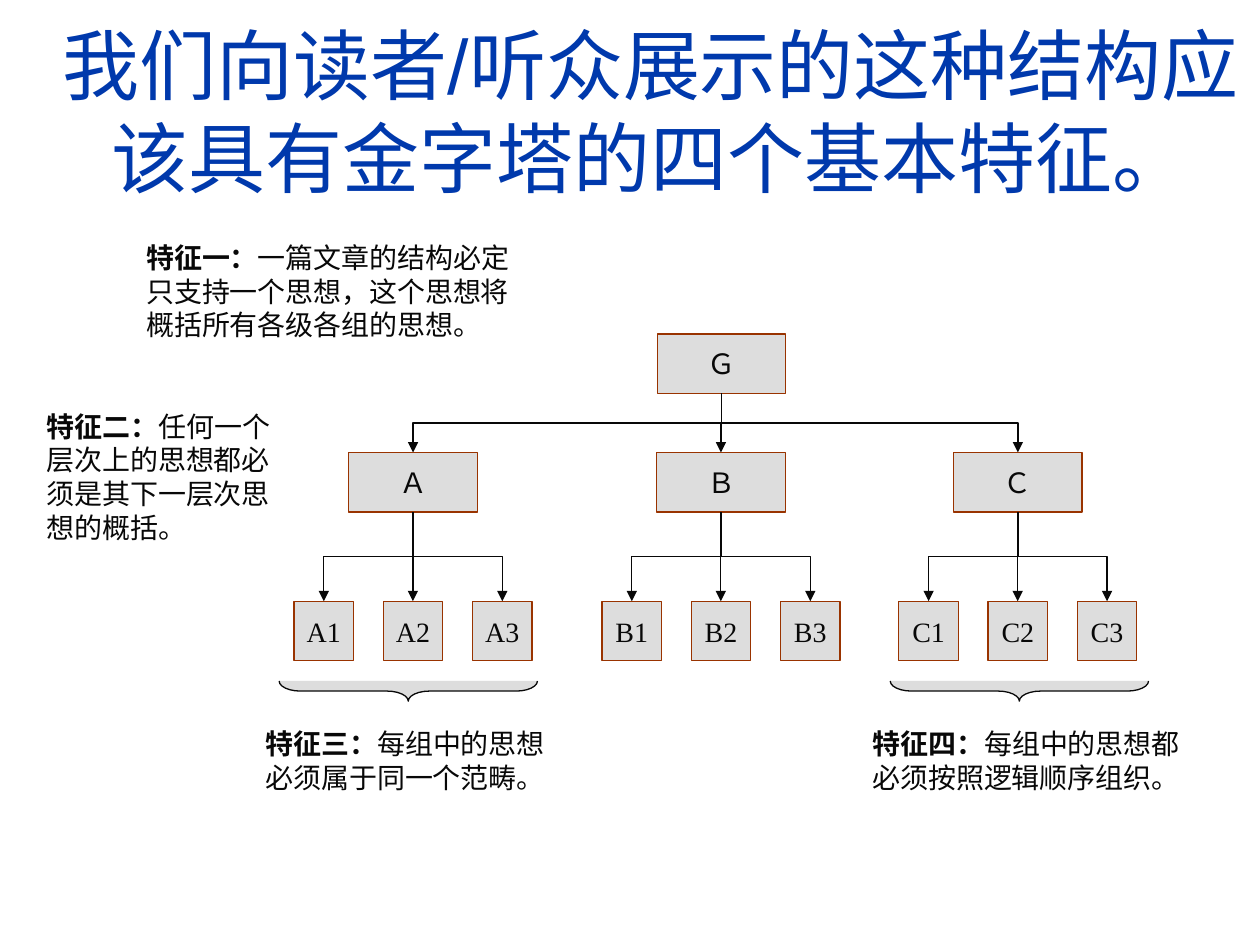
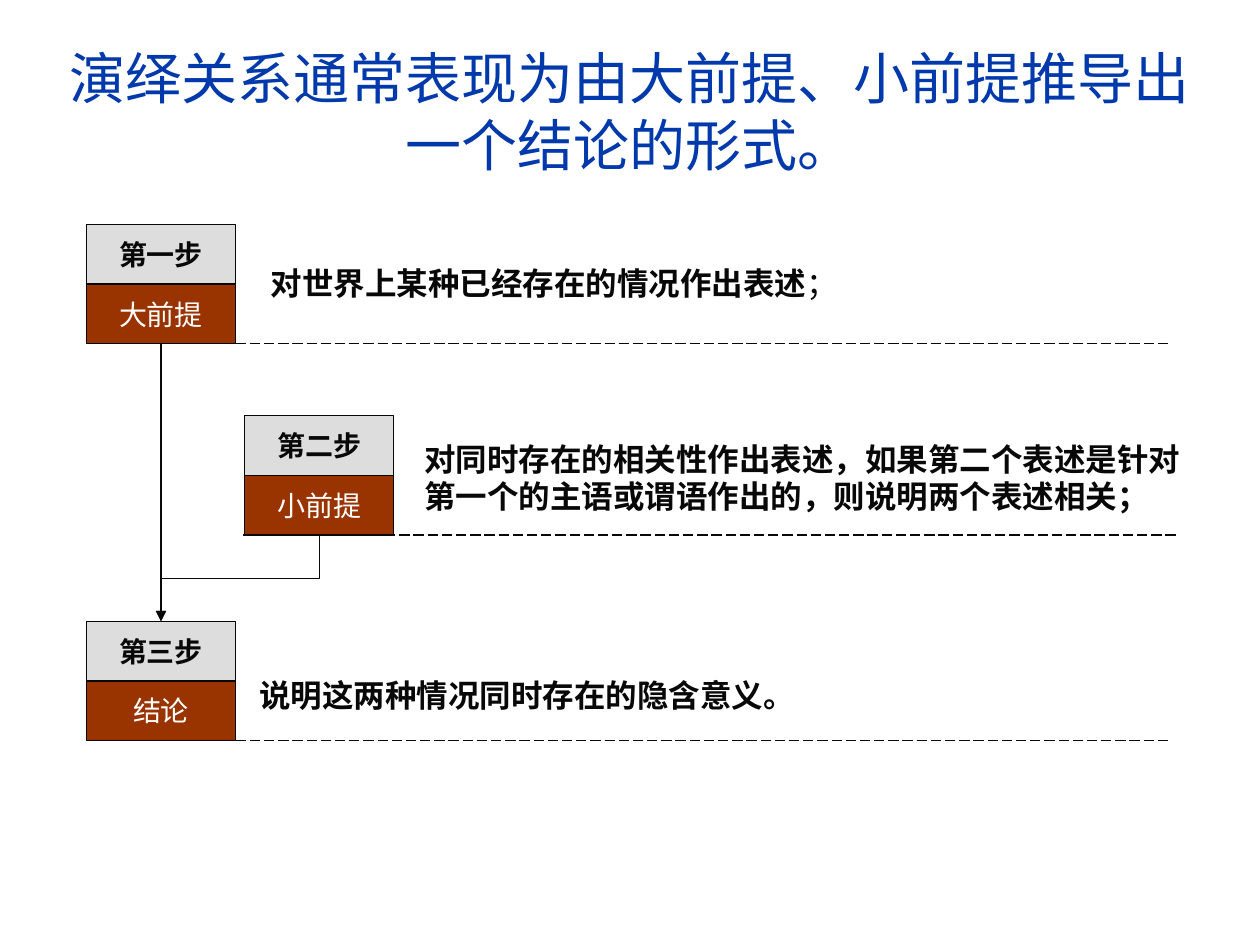
"""Build two slides on the pyramid structure and on deductive reasoning."""
from dataclasses import dataclass

from lxml import etree
from pptx import Presentation
from pptx import util as u
from pptx.dml.color import RGBColor
from pptx.enum import dml, lang, shapes, text
from pptx.oxml import ns


@dataclass(frozen=True)
class Theme:
    """Colours, fonts and type sizes shared by the slides."""
    ink: str = "080808"
    blue: str = "0039AC"
    grey: str = "DDDDDD"
    rust: str = "993300"
    white: str = "FFFFFF"
    title_font: str = "Arial"
    body_font: str = "Times New Roman"
    label_size: int = 16
    statement_size: int = 18
    line_width: float = 0.75


THEME = Theme()

NODE_WIDTH, NODE_HEIGHT, LEAF_PITCH = 73.4, 34, 51
ROOT_CENTER, ROOT_TOP, BRANCH_TOP, LEAF_TOP = 412.3, 190.8, 258.6, 343.6
BRANCHES = [("Ａ", "A", 236), ("Ｂ", "B", 412), ("Ｃ", "C", 581.6)]
BRACES = [233.3, 582.5]
FEATURES = [
    ("特征一：", "一篇文章的结构必定只支持一个思想，这个思想将概括所有各级各组的思想。",
     (76.5, 133.9, 225.4, 68.4)),
    ("特征二：", "任何一个层次上的思想都必须是其下一层次思想的概括。",
     (19.6, 230.4, 146.2, 90.7)),
    ("特征三：", "每组中的思想必须属于同一个范畴。", (144.7, 411.8, 175, 56.9)),
    ("特征四：", "每组中的思想都必须按照逻辑顺序组织。", (491.5, 411.8, 193, 62.6)),
]

STEP_WIDTH, STEP_HEIGHT, RULE_LENGTH = 85, 34.1, 533
STEPS = [
    ("第一步", "大前提", (49.5, 128.2), 134.7,
     [("对世界上某种已经存在的情况作出表述", True), ("；", False)],
     (147.6, 147.6, 345, 28.8)),
    ("第二步", "小前提", (139.9, 237.6), 139,
     [("对同时存在的相关性作出表述，如果第二个表述是针对第一个的主语或谓语作出的，"
       "则说明两个表述相关；", True)],
     (235.4, 247.7, 459.4, 56.9)),
    ("第三步", "结论", (49.5, 355), 134.7,
     [("说明这两种情况同时存在的隐含意义。", True)],
     (141.1, 383, 325, 28.8)),
]


def points(*lengths):
    """Convert numbers to point lengths."""
    return [u.Pt(length) for length in lengths]


def apply_format(target, values):
    """Set each attribute named in a dict of format values."""
    for name, value in values.items():
        setattr(target, name, value)


def write(frame, spans, size, color, font, frame_format, align):
    """Write one paragraph of (words, bold) spans."""
    apply_format(frame, frame_format)
    para = frame.paragraphs[0]
    para.alignment = align
    for words, bold in spans:
        span = para.add_run()
        span.text = words
        apply_format(span.font, {
            "name": font, "size": u.Pt(size), "bold": bold,
            "language_id": lang.MSO_LANGUAGE_ID.SIMPLIFIED_CHINESE})
        span.font.color.rgb = RGBColor.from_string(color)


def add_page(deck, title, size, width):
    """Add a slide with a centred blue title."""
    page = deck.slides.add_slide(deck.slide_layouts[5])
    box = page.shapes.title
    apply_format(box, dict(zip(("left", "top", "width", "height"),
                               points(24, 18, width, 90))))
    write(box.text_frame, [(title, False)], size, THEME.blue, THEME.title_font,
          {"word_wrap": True, "auto_size": text.MSO_AUTO_SIZE.NONE,
           "vertical_anchor": text.MSO_ANCHOR.MIDDLE}, text.PP_ALIGN.CENTER)
    return page


def style_line(line, color):
    """Give a line its colour and the common width."""
    line.color.rgb = RGBColor.from_string(color)
    line.width = u.Pt(THEME.line_width)


def add_filled(page, kind, place, fill, outline):
    """Add a filled and outlined preset shape."""
    shape = page.shapes.add_shape(kind, *points(*place))
    shape.shadow.inherit = False
    shape.fill.solid()
    shape.fill.fore_color.rgb = RGBColor.from_string(fill)
    style_line(shape.line, outline)
    return shape


def add_box(page, label, place, fill=THEME.grey, outline=THEME.rust,
            color=THEME.ink, bold=False):
    """Add a rectangle with a centred label."""
    box = add_filled(page, shapes.MSO_SHAPE.RECTANGLE, place, fill, outline)
    write(box.text_frame, [(label, bold)], THEME.label_size, color, THEME.body_font,
          {"word_wrap": False, "vertical_anchor": text.MSO_ANCHOR.MIDDLE},
          text.PP_ALIGN.CENTER)


def add_note(page, spans, place, size):
    """Add a wrapped, left-aligned text box."""
    box = page.shapes.add_textbox(*points(*place))
    write(box.text_frame, spans, size, THEME.ink, THEME.body_font,
          {"word_wrap": True}, text.PP_ALIGN.LEFT)


def add_line(page, start, end, kind=shapes.MSO_CONNECTOR.STRAIGHT, arrow=False):
    """Add a thin connector, with an arrowhead if asked."""
    line = page.shapes.add_connector(kind, *points(*start, *end))
    style_line(line.line, THEME.ink)
    properties = line._element.spPr
    if arrow:
        etree.SubElement(line.line._get_or_add_ln(), ns.qn("a:tailEnd"), type="triangle")
    etree.SubElement(properties, ns.qn("a:effectLst"))
    return line


def add_elbow(page, start, end):
    """Add an arrow that goes down, across and down again."""
    (x1, y1), (x2, y2) = start, end
    middle_x, middle_y = (x1 + x2) / 2, (y1 + y2) / 2
    half_drop, half_span = (y2 - y1) / 2, abs(x2 - x1) / 2
    line = add_line(page, (middle_x - half_drop, middle_y - half_span),
                    (middle_x + half_drop, middle_y + half_span),
                    shapes.MSO_CONNECTOR.ELBOW, arrow=True)
    turn = {"rot": "5400000"} if x2 < x1 else {"rot": "16200000", "flipH": "1"}
    frame = line._element.spPr.find(ns.qn("a:xfrm"))
    for name, value in turn.items():
        frame.set(name, value)


def add_node(page, label, center, top, width):
    """Add a tree node centred on a column."""
    add_box(page, label, (center - width / 2, top, width, NODE_HEIGHT))


def add_brace(page, center):
    """Add a brace that opens upward under a group of leaves."""
    width, length = 11.5, 147.6
    brace = add_filled(page, shapes.MSO_SHAPE.LEFT_BRACE,
                       (center - width / 2, 321.1, width, length),
                       THEME.grey, THEME.ink)
    brace.rotation = 270
    brace.adjustments[0] = 1.06


def add_tree(page):
    """Draw the root, its branches, their leaves and the arrows."""
    add_node(page, "Ｇ", ROOT_CENTER, ROOT_TOP, NODE_WIDTH)
    for label, prefix, center in BRANCHES:
        add_elbow(page, (ROOT_CENTER, ROOT_TOP + NODE_HEIGHT), (center, BRANCH_TOP))
        add_node(page, label, center, BRANCH_TOP, NODE_WIDTH)
        for number in (1, 2, 3):
            leaf_center = center + (number - 2) * LEAF_PITCH
            add_elbow(page, (center, BRANCH_TOP + NODE_HEIGHT), (leaf_center, LEAF_TOP))
            add_node(page, f"{prefix}{number}", leaf_center, LEAF_TOP, NODE_HEIGHT)


def add_step(page, step, premise, corner, rule_left, statement, place):
    """Add a step with its two-part label, statement and dashed rule."""
    left, top = corner
    add_box(page, step, (left, top, STEP_WIDTH, STEP_HEIGHT),
            outline=THEME.ink, bold=True)
    add_box(page, premise, (left, top + STEP_HEIGHT, STEP_WIDTH, STEP_HEIGHT),
            THEME.rust, THEME.ink, THEME.white)
    add_note(page, statement, place, THEME.statement_size)
    bottom = top + 2 * STEP_HEIGHT
    rule = add_line(page, (rule_left, bottom), (rule_left + RULE_LENGTH, bottom))
    rule.line.dash_style = dml.MSO_LINE.LONG_DASH


def build_pyramid(deck):
    """Build the slide on the four features of a pyramid."""
    page = add_page(deck, "我们向读者/听众展示的这种结构应该具有金字塔的四个基本特征。", 44, 696)
    add_tree(page)
    for center in BRACES:
        add_brace(page, center)
    for name, meaning, place in FEATURES:
        add_note(page, [(name, True), (meaning, False)], place, THEME.label_size)


def build_deduction(deck):
    """Build the slide on the three steps of deduction."""
    page = add_page(deck, "演绎关系通常表现为由大前提、小前提推导出一个结论的形式。", 32, 672)
    for step in STEPS:
        add_step(page, *step)
    major, minor, (left, top) = (step[2] for step in STEPS)
    half, full = STEP_WIDTH / 2, 2 * STEP_HEIGHT
    conclusion = (left + half, top)
    add_line(page, (major[0] + half, major[1] + full), conclusion, arrow=True)
    add_elbow(page, (minor[0] + half, minor[1] + full), conclusion)


def main():
    """Build and save the deck."""
    deck = Presentation()
    deck.slide_width, deck.slide_height = points(720, 540)
    build_pyramid(deck)
    build_deduction(deck)
    deck.save("out.pptx")


if __name__ == "__main__":
    main()
